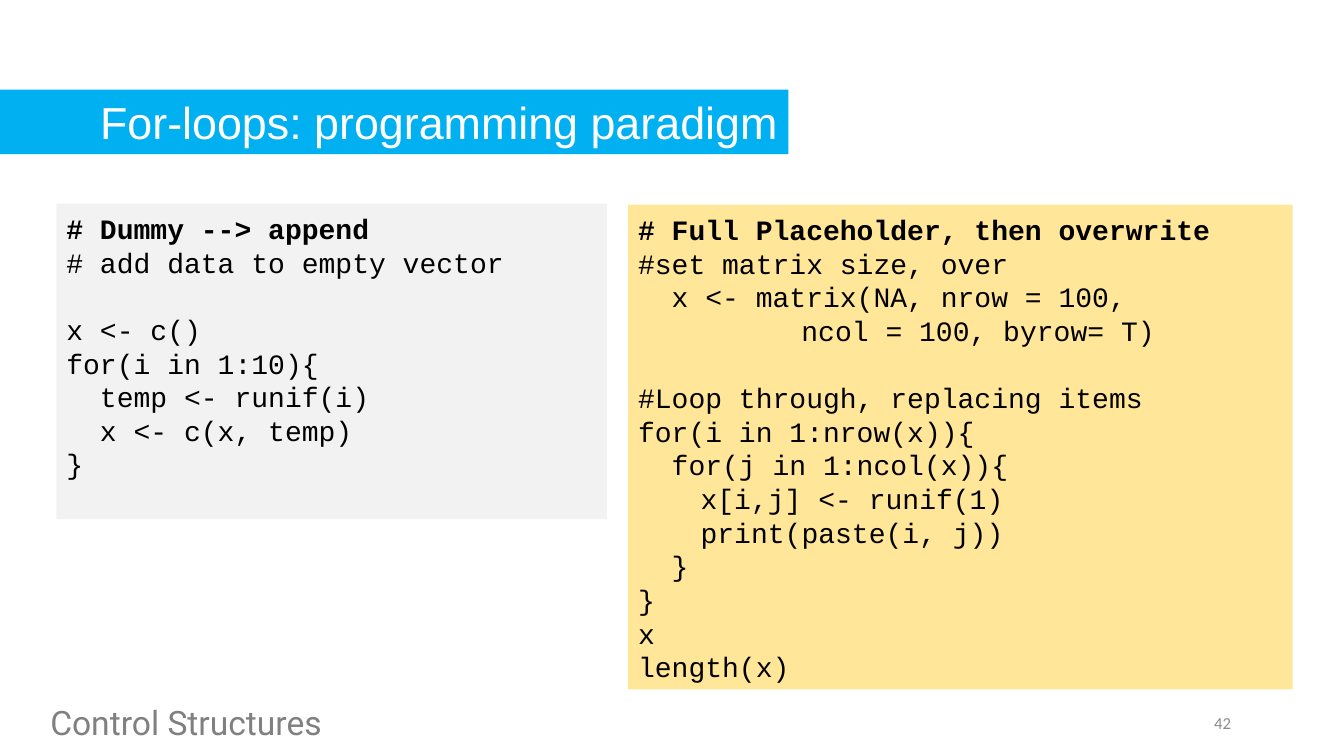
from pptx import Presentation
from pptx.dml.color import RGBColor
from pptx.enum.shapes import MSO_SHAPE
from pptx.enum.text import MSO_ANCHOR, MSO_AUTO_SIZE, PP_ALIGN
from pptx.util import Inches, Pt

WHITE = RGBColor(0xFF, 0xFF, 0xFF)
BLACK = RGBColor(0, 0, 0)
BLUE = RGBColor(0x00, 0xB0, 0xF0)
PALE_GRAY = RGBColor(0xF2, 0xF2, 0xF2)
PALE_YELLOW = RGBColor(0xFF, 0xE6, 0x99)
FOOTER_GRAY = RGBColor(0x80, 0x80, 0x80)
NUMBER_GRAY = RGBColor(0x8C, 0x8C, 0x8C)

TITLE = "For-loops: programming paradigm"
SECTION = "Control Structures"
SLIDE_NUMBER = "42"

APPEND_CODE = """# Dummy --> append
# add data to empty vector

x <- c()
for(i in 1:10){
  temp <- runif(i)
  x <- c(x, temp)
}"""

OVERWRITE_CODE = """# Full Placeholder, then overwrite
#set matrix size, over
  x <- matrix(NA, nrow = 100,
\t\t\tncol = 100, byrow= T)

#Loop through, replacing items
for(i in 1:nrow(x)){
  for(j in 1:ncol(x)){
\tx[i,j] <- runif(1)
\tprint(paste(i, j))
  }
}
x
length(x)"""

# code, fill, (left, top, width, height) in inches
CODE_PANELS = [
    (APPEND_CODE, PALE_GRAY, (0.56, 2.02, 5.46, 3.13)),
    (OVERWRITE_CODE, PALE_YELLOW, (6.23, 2.03, 6.59, 4.81)),
]
HANGING = Inches(0.62)


def style(font, name, size, color, bold=False):
    font.name, font.size, font.bold = name, Pt(size), bold
    font.color.rgb = color


def add_run(paragraph, text, *look):
    run = paragraph.add_run()
    run.text = text
    style(run.font, *look)


def add_label(slide, text, place, anchor, align, *look):
    frame = slide.shapes.add_textbox(*map(Inches, place)).text_frame
    frame.word_wrap = True
    frame.vertical_anchor = anchor
    frame.paragraphs[0].alignment = align
    add_run(frame.paragraphs[0], text, *look)


def add_code_panel(slide, code, fill, place):
    """Draw a filled panel whose first code line is a bold heading."""
    panel = slide.shapes.add_shape(MSO_SHAPE.RECTANGLE, *map(Inches, place))
    panel.shadow.inherit = False
    panel.fill.solid()
    panel.fill.fore_color.rgb = fill
    panel.line.fill.background()
    frame = panel.text_frame
    frame.word_wrap = True
    frame.vertical_anchor = MSO_ANCHOR.TOP
    frame.margin_top = Inches(0.08)
    frame.margin_bottom = Inches(0.05)
    for number, line in enumerate(code.split("\n")):
        paragraph = frame.add_paragraph() if number else frame.paragraphs[0]
        paragraph.alignment = PP_ALIGN.LEFT
        paragraph.line_spacing = Pt(24)
        properties = paragraph._p.get_or_add_pPr()
        properties.set("marL", str(HANGING))
        properties.set("indent", str(-HANGING))
        look = ("Courier New", 20, BLACK, number == 0)
        if line:
            add_run(paragraph, line, *look)
        else:
            style(paragraph.font, *look)


def add_title_bar(slide):
    bar = slide.shapes.title
    bar.left, bar.top, bar.width, bar.height = map(Inches, (0, 0.89, 7.82, 0.64))
    bar.fill.solid()
    bar.fill.fore_color.rgb = BLUE
    frame = bar.text_frame
    frame.auto_size = MSO_AUTO_SIZE.NONE
    frame.word_wrap = True
    frame.vertical_anchor = MSO_ANCHOR.MIDDLE
    frame.paragraphs[0].alignment = PP_ALIGN.RIGHT
    add_run(frame.paragraphs[0], TITLE, "Arial", 32, WHITE)


def main():
    deck = Presentation()
    deck.slide_width, deck.slide_height = Inches(13.33), Inches(7.5)
    slide = deck.slides.add_slide(deck.slide_layouts[5])
    add_label(slide, SLIDE_NUMBER, (9.31, 6.97, 3, 0.4), MSO_ANCHOR.MIDDLE,
              PP_ALIGN.RIGHT, "Calibri", 12, NUMBER_GRAY)
    add_label(slide, SECTION, (0.4, 6.91, 9.79, 0.5), MSO_ANCHOR.TOP,
              PP_ALIGN.LEFT, "Roboto", 24, FOOTER_GRAY)
    add_title_bar(slide)
    for code, fill, place in CODE_PANELS:
        add_code_panel(slide, code, fill, place)
    deck.save("out.pptx")


if __name__ == "__main__":
    main()
